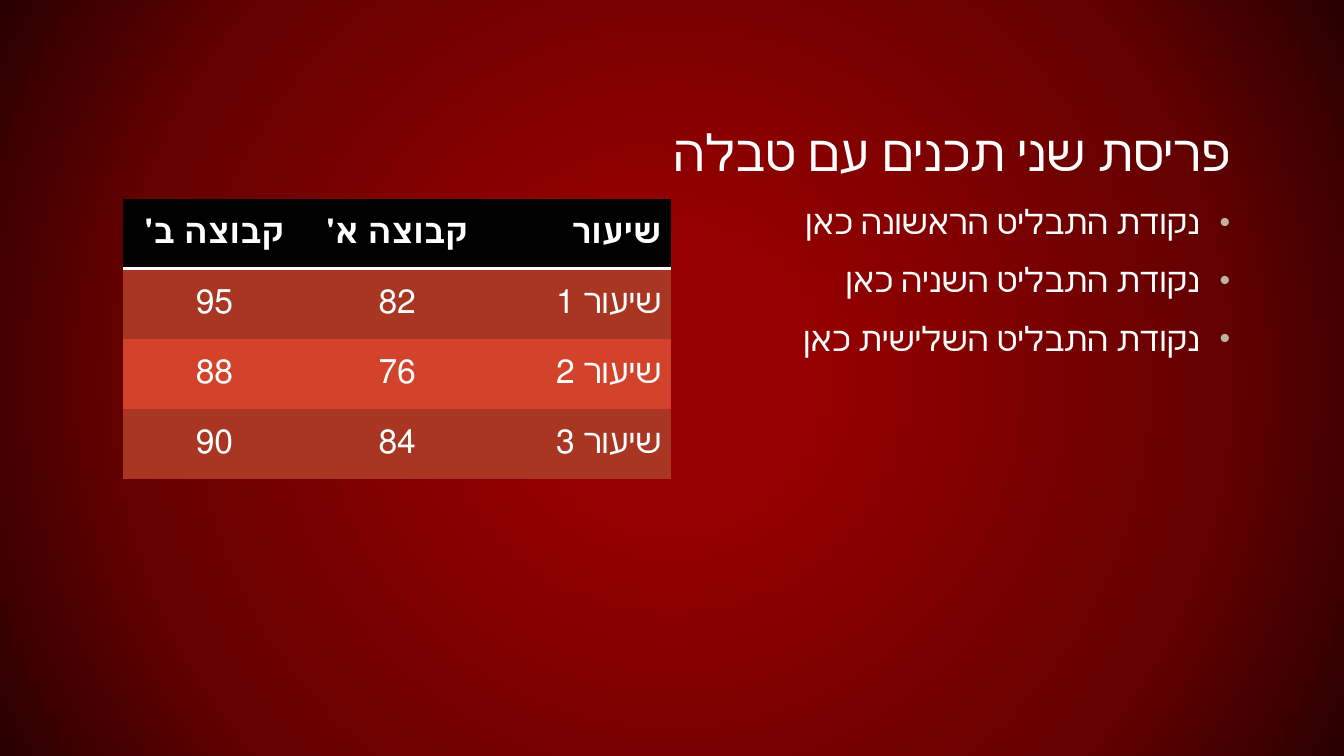
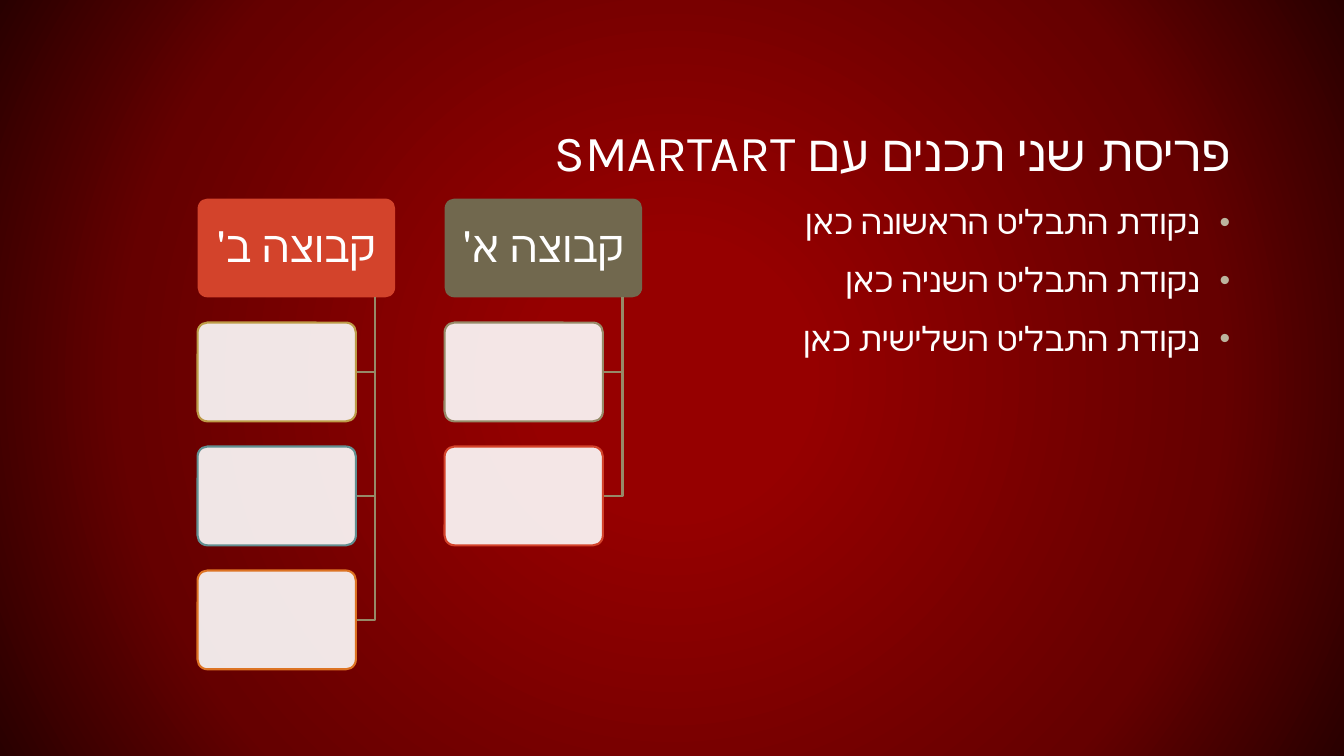
from dataclasses import dataclass

from lxml import etree
from pptx import Presentation
from pptx.dml.color import RGBColor
from pptx.enum.shapes import MSO_SHAPE
from pptx.enum.text import MSO_ANCHOR, PP_ALIGN
from pptx.oxml import parse_xml
from pptx.oxml.ns import qn
from pptx.util import Inches, Pt

ROUNDED = MSO_SHAPE.ROUNDED_RECTANGLE
MIDDLE, TOP, BOTTOM = MSO_ANCHOR.MIDDLE, MSO_ANCHOR.TOP, MSO_ANCHOR.BOTTOM
CENTER, RIGHT = PP_ALIGN.CENTER, PP_ALIGN.RIGHT
NAMESPACE = "http://schemas.openxmlformats.org/drawingml/2006/main"
PLAIN_TABLE_STYLE = "{2D5ABB26-0587-4C30-8999-92F81FD0307C}"


@dataclass(frozen=True)
class Theme:
    font: str = "Karla"
    title_size: float = 36
    body_size: float = 24
    group_size: float = 31
    text: str = "FFFFFF"
    bullet: str = "BCB49E"
    header: str = "000000"
    bands: tuple[str, str] = ("A93622", "D3432B")
    card: str = "FFFFFF"
    khaki: str = "71684E"
    sand: str = "968A68"
    red: str = "D3432B"
    gold: str = "BD9B47"
    teal: str = "618F91"
    orange: str = "DD7323"
    backdrop: tuple[tuple[int, str], ...] = ((17, "960000"), (71, "650000"), (100, "290000"))


@dataclass(frozen=True)
class Box:
    left: float
    top: float
    width: float
    height: float

    def lengths(self) -> list:
        return [Inches(value) for value in (self.left, self.top, self.width, self.height)]


@dataclass(frozen=True)
class TaskGroup:
    name: str
    left: float
    fill: str
    outlines: tuple[str, ...]


THEME = Theme()
CONTENT_TOP = 1.97
TITLE_BOX = Box(1, 0.54, 11.33, 1.33)
BODY_BOX = Box(6.89, CONTENT_TOP, 5.44, 4.89)
TABLE_BOX = Box(1.22, CONTENT_TOP, 5.44, 2.78)
BULLETS = ["נקודת התבליט הראשונה כאן", "נקודת התבליט השניה כאן", "נקודת התבליט השלישית כאן"]
TABLE_ROWS = [
    ["קבוצה ב'", "קבוצה א'", "שיעור"],
    ["95", "82", "שיעור 1"],
    ["88", "76", "שיעור 2"],
    ["90", "84", "שיעור 3"],
]
GROUPS = [
    TaskGroup("קבוצה א'", 4.41, THEME.khaki, (THEME.sand, THEME.red)),
    TaskGroup("קבוצה ב'", 1.96, THEME.red, (THEME.gold, THEME.teal, THEME.orange)),
]
# Task diagram measures
GROUP_WIDTH, TASK_WIDTH, CARD_HEIGHT, CARD_STEP = 1.96, 1.57, 0.98, 1.23
LINE_WIDTH = 1.5


def color(value: str) -> RGBColor:
    return RGBColor.from_string(value)


def format_paragraph(para, size: float, align, spacing: float = 1.0, bold: bool = False) -> None:
    para.alignment = align
    para.line_spacing = spacing
    para._p.get_or_add_pPr().set("rtl", "1")
    for span in para.runs:
        span.font.name = THEME.font
        span.font.size = Pt(size)
        span.font.bold = bold
        span.font.color.rgb = color(THEME.text)


def set_frame(frame, anchor, side: float, edge: float) -> None:
    frame.word_wrap = True
    frame.vertical_anchor = anchor
    frame.margin_left = frame.margin_right = Inches(side)
    frame.margin_top = frame.margin_bottom = Inches(edge)


def add_bullet(para) -> None:
    properties = para._p.get_or_add_pPr()
    properties.set("marL", str(Inches(0.3)))
    properties.set("indent", str(Inches(-0.3)))
    bullet_color = etree.SubElement(properties, qn("a:buClr"))
    etree.SubElement(bullet_color, qn("a:srgbClr"), val=THEME.bullet)
    etree.SubElement(properties, qn("a:buSzPct"), val="90000")
    etree.SubElement(properties, qn("a:buFont"), typeface="Arial")
    etree.SubElement(properties, qn("a:buChar"), char="•")


def paint_background(master) -> None:
    """Radial gradient shared by every page."""
    fill = master.background.fill
    fill.solid()
    fill.fore_color.rgb = color(THEME.backdrop[0][1])
    stops = "".join(
        f'<a:gs pos="{position * 1000}"><a:srgbClr val="{value}"/></a:gs>'
        for position, value in THEME.backdrop
    )
    gradient = parse_xml(
        f'<a:gradFill xmlns:a="{NAMESPACE}" rotWithShape="1"><a:gsLst>{stops}</a:gsLst>'
        '<a:path path="circle"><a:fillToRect l="50000" t="50000" r="50000" b="50000"/>'
        "</a:path></a:gradFill>"
    )
    solid = next(master.element.iter(qn("a:solidFill")))
    solid.getparent().replace(solid, gradient)


def add_page(deck, title: str):
    """Page with the shared title and bullet list."""
    page = deck.slides.add_slide(deck.slide_layouts[6])
    frame = page.shapes.add_textbox(*TITLE_BOX.lengths()).text_frame
    set_frame(frame, BOTTOM, 0.13, 0.07)
    frame.text = title
    format_paragraph(frame.paragraphs[0], THEME.title_size, RIGHT, 0.8)

    frame = page.shapes.add_textbox(*BODY_BOX.lengths()).text_frame
    set_frame(frame, TOP, 0.13, 0.07)
    frame.text = "\n".join(BULLETS)
    for index, para in enumerate(frame.paragraphs):
        add_bullet(para)
        format_paragraph(para, THEME.body_size, RIGHT, 0.9)
        para.space_before = Pt(15.7 if index else 0)
    return page


def add_bottom_border(cell) -> None:
    border = parse_xml(
        f'<a:lnB xmlns:a="{NAMESPACE}" w="{Pt(2)}"><a:solidFill>'
        f'<a:srgbClr val="{THEME.text}"/></a:solidFill></a:lnB>'
    )
    cell._tc.get_or_add_tcPr().insert(0, border)


def add_score_table(page) -> None:
    last = len(TABLE_ROWS[0]) - 1
    frame = page.shapes.add_table(len(TABLE_ROWS), last + 1, *TABLE_BOX.lengths())
    table = frame.table
    table.first_row = table.horz_banding = False
    next(frame._element.iter(qn("a:tableStyleId"))).text = PLAIN_TABLE_STYLE
    for row, texts in enumerate(TABLE_ROWS):
        for column, text in enumerate(texts):
            cell = table.cell(row, column)
            cell.text = text
            cell.vertical_anchor = MIDDLE
            cell.fill.solid()
            cell.fill.fore_color.rgb = color(THEME.bands[(row - 1) % 2] if row else THEME.header)
            align = RIGHT if column == last else CENTER
            format_paragraph(cell.text_frame.paragraphs[0], THEME.body_size, align, bold=row == 0)
            if row == 0:
                add_bottom_border(cell)


def add_card(shapes, box: Box, fill: str):
    card = shapes.add_shape(ROUNDED, *box.lengths())
    card.shadow.inherit = False
    card.adjustments[0] = 0.1
    card.fill.solid()
    card.fill.fore_color.rgb = color(fill)
    card.line.fill.background()
    return card


def add_branch(shapes, trunk: float, start: float, end: float, middle: float) -> None:
    """Elbow line from a group card down to one task."""
    builder = shapes.build_freeform(Inches(trunk), Inches(start))
    corner = (Inches(trunk), Inches(middle))
    builder.add_line_segments([corner, (Inches(end), Inches(middle))], close=False)
    branch = builder.convert_to_shape()
    branch.shadow.inherit = False
    branch.fill.background()
    branch.line.color.rgb = color(THEME.sand)
    branch.line.width = Pt(LINE_WIDTH)


def add_task_group(page, group: TaskGroup) -> None:
    shapes = page.shapes.add_group_shape().shapes
    # Group heading
    head = add_card(shapes, Box(group.left, CONTENT_TOP, GROUP_WIDTH, CARD_HEIGHT), group.fill)
    set_frame(head.text_frame, MIDDLE, 0.06, 0.04)
    head.text_frame.text = group.name
    format_paragraph(head.text_frame.paragraphs[0], THEME.group_size, CENTER, 0.9)
    # Task cards
    trunk = group.left + GROUP_WIDTH * 0.9
    for number, outline in enumerate(group.outlines, start=1):
        top = CONTENT_TOP + number * CARD_STEP
        add_branch(shapes, trunk, CONTENT_TOP + CARD_HEIGHT, group.left + TASK_WIDTH,
                   top + CARD_HEIGHT / 2)
        card = add_card(shapes, Box(group.left, top, TASK_WIDTH, CARD_HEIGHT), THEME.card)
        fill_color = card._element.spPr.find(qn("a:solidFill"))[0]
        etree.SubElement(fill_color, qn("a:alpha"), val="90000")
        card.line.color.rgb = color(outline)
        card.line.width = Pt(LINE_WIDTH)


def main() -> None:
    deck = Presentation()
    deck.slide_width, deck.slide_height = Inches(13.33), Inches(7.5)
    paint_background(deck.slide_master)

    # Table page
    add_score_table(add_page(deck, "פריסת שני תכנים עם טבלה"))

    # Task diagram page
    page = add_page(deck, "פריסת שני תכנים עם SMARTART")
    for group in GROUPS:
        add_task_group(page, group)

    deck.save("out.pptx")


if __name__ == "__main__":
    main()
